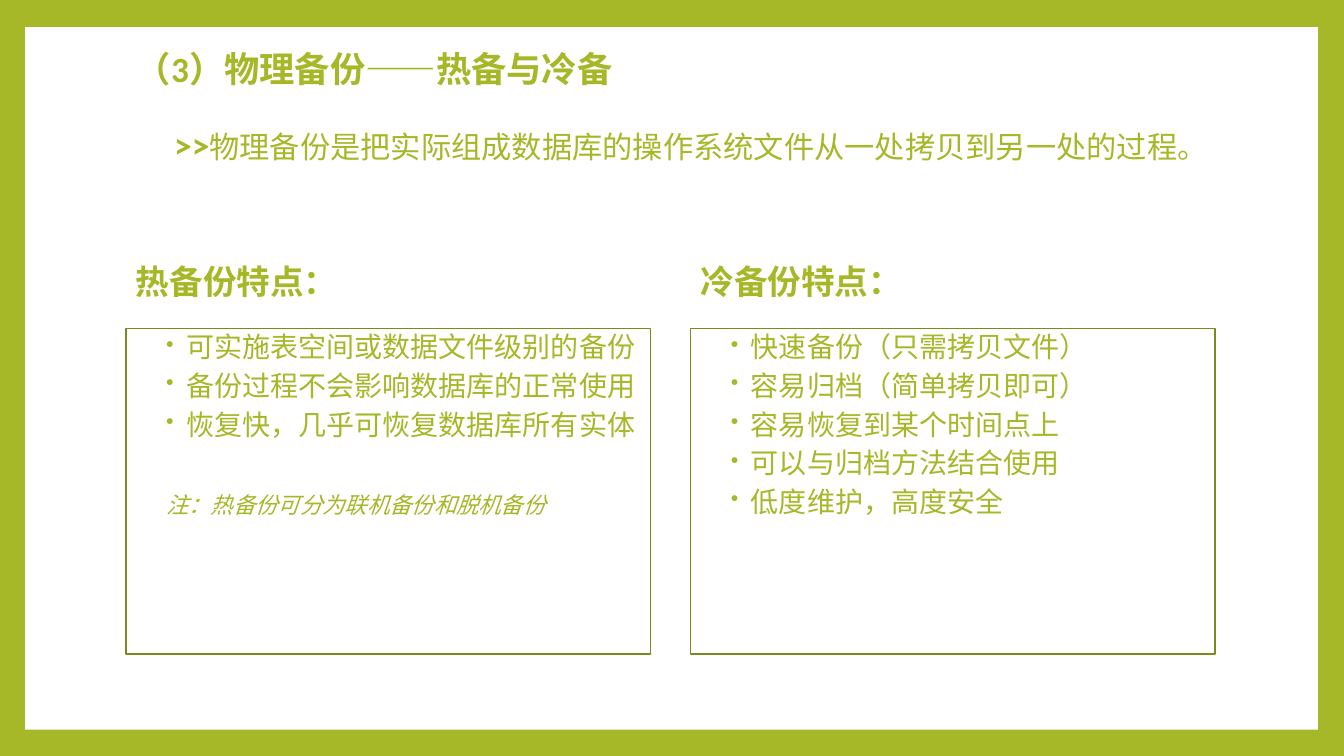
from lxml import etree
from pptx import Presentation
from pptx.dml.color import RGBColor
from pptx.enum.shapes import MSO_SHAPE
from pptx.enum.text import MSO_ANCHOR, PP_ALIGN
from pptx.oxml.ns import qn
from pptx.util import Inches, Pt

RECTANGLE = MSO_SHAPE.RECTANGLE
TOP, MIDDLE = MSO_ANCHOR.TOP, MSO_ANCHOR.MIDDLE
LEFT = PP_ALIGN.LEFT

GREEN = RGBColor(0xA6, 0xB7, 0x27)
DARK_GREEN = RGBColor(0x7D, 0x89, 0x1D)
WHITE = RGBColor(0xFF, 0xFF, 0xFF)
FONT = "Calibri"

# Two-column grid, in inches
SLIDE_W, SLIDE_H = 13.33, 7.5
MARGIN, COLUMN_W, GUTTER = 1.25, 5.2, 0.4
CONTENT_W = 2 * COLUMN_W + GUTTER
TITLE_Y, TITLE_H = 0.47, 1.92
HEADING_Y, HEADING_H = 2.39, 0.85
LIST_Y, LIST_H = 3.26, 3.23

TITLE = "（3）物理备份——热备与冷备"
DEFINITION = "物理备份是把实际组成数据库的操作系统文件从一处拷贝到另一处的过程。"
COLUMNS = [
    ("热备份特点：",
     ["可实施表空间或数据文件级别的备份",
      "备份过程不会影响数据库的正常使用",
      "恢复快，几乎可恢复数据库所有实体"],
     "注：热备份可分为联机备份和脱机备份"),
    ("冷备份特点：",
     ["快速备份（只需拷贝文件）",
      "容易归档（简单拷贝即可）",
      "容易恢复到某个时间点上",
      "可以与归档方法结合使用",
      "低度维护，高度安全"],
     None),
]


def add_panel(slide, x, y, w, h, fill=None, line=None):
    panel = slide.shapes.add_shape(
        RECTANGLE, Inches(x), Inches(y), Inches(w), Inches(h))
    panel.shadow.inherit = False
    if fill is None:
        panel.fill.background()
    else:
        panel.fill.solid()
        panel.fill.fore_color.rgb = fill
    if line is None:
        panel.line.fill.background()
    else:
        panel.line.color.rgb = line
        panel.line.width = Pt(1)
    return panel


def add_text_area(slide, x, y, w, h, anchor):
    frame = slide.shapes.add_textbox(
        Inches(x), Inches(y), Inches(w), Inches(h)).text_frame
    frame.word_wrap = True
    frame.vertical_anchor = anchor
    return frame


def next_paragraph(frame, before=0, after=0, margin=0, indent=0):
    first = frame.paragraphs[0]
    paragraph = frame.add_paragraph() if first.runs else first
    paragraph.alignment = LEFT
    paragraph.line_spacing = 0.9
    paragraph.space_before, paragraph.space_after = Pt(before), Pt(after)
    properties = paragraph._p.get_or_add_pPr()
    properties.set("marL", str(Inches(margin)))
    properties.set("indent", str(Inches(indent)))
    return paragraph


def add_run(paragraph, text, size, bold=False, italic=False):
    run = paragraph.add_run()
    run.text = text
    run.font.name, run.font.size = FONT, Pt(size)
    run.font.bold, run.font.italic = bold, italic
    run.font.color.rgb = GREEN


def add_bullet(paragraph):
    properties = paragraph._p.get_or_add_pPr()
    color = etree.SubElement(properties, qn("a:buClr"))
    etree.SubElement(color, qn("a:srgbClr")).set("val", str(GREEN))
    etree.SubElement(properties, qn("a:buSzPct")).set("val", "80000")
    etree.SubElement(properties, qn("a:buChar")).set("char", "•")


def add_title(slide):
    frame = add_text_area(slide, MARGIN, TITLE_Y, CONTENT_W, TITLE_H, TOP)
    frame.margin_right = 0
    add_run(next_paragraph(frame), TITLE, 25.2, bold=True)
    definition = next_paragraph(frame, before=27, margin=0.38)
    add_run(definition, ">>", 25.2, bold=True)
    add_run(definition, DEFINITION, 21.6)


def add_column(slide, x, heading, features, note):
    frame = add_text_area(slide, x, HEADING_Y, COLUMN_W, HEADING_H, MIDDLE)
    add_run(next_paragraph(frame), heading, 24, bold=True)

    panel = add_panel(slide, x, LIST_Y, COLUMN_W, LIST_H, line=DARK_GREEN)
    frame = panel.text_frame
    frame.word_wrap = True
    frame.vertical_anchor = TOP
    for feature in features:
        item = next_paragraph(frame, 2, 4, margin=0.5, indent=-0.2)
        add_bullet(item)
        add_run(item, feature, 20)
    if note:
        add_run(next_paragraph(frame, 34, 4, margin=0.3), note, 16, italic=True)


def main():
    deck = Presentation()
    deck.slide_width, deck.slide_height = Inches(SLIDE_W), Inches(SLIDE_H)
    slide = deck.slides.add_slide(deck.slide_layouts[6])

    # Green frame around a white page
    slide.background.fill.solid()
    slide.background.fill.fore_color.rgb = GREEN
    add_panel(slide, 0.25, 0.27, 12.82, 6.97, fill=WHITE)

    # Title, then hot and cold backup side by side
    add_title(slide)
    for index, column in enumerate(COLUMNS):
        add_column(slide, MARGIN + index * (COLUMN_W + GUTTER), *column)

    deck.save("out.pptx")


if __name__ == "__main__":
    main()
